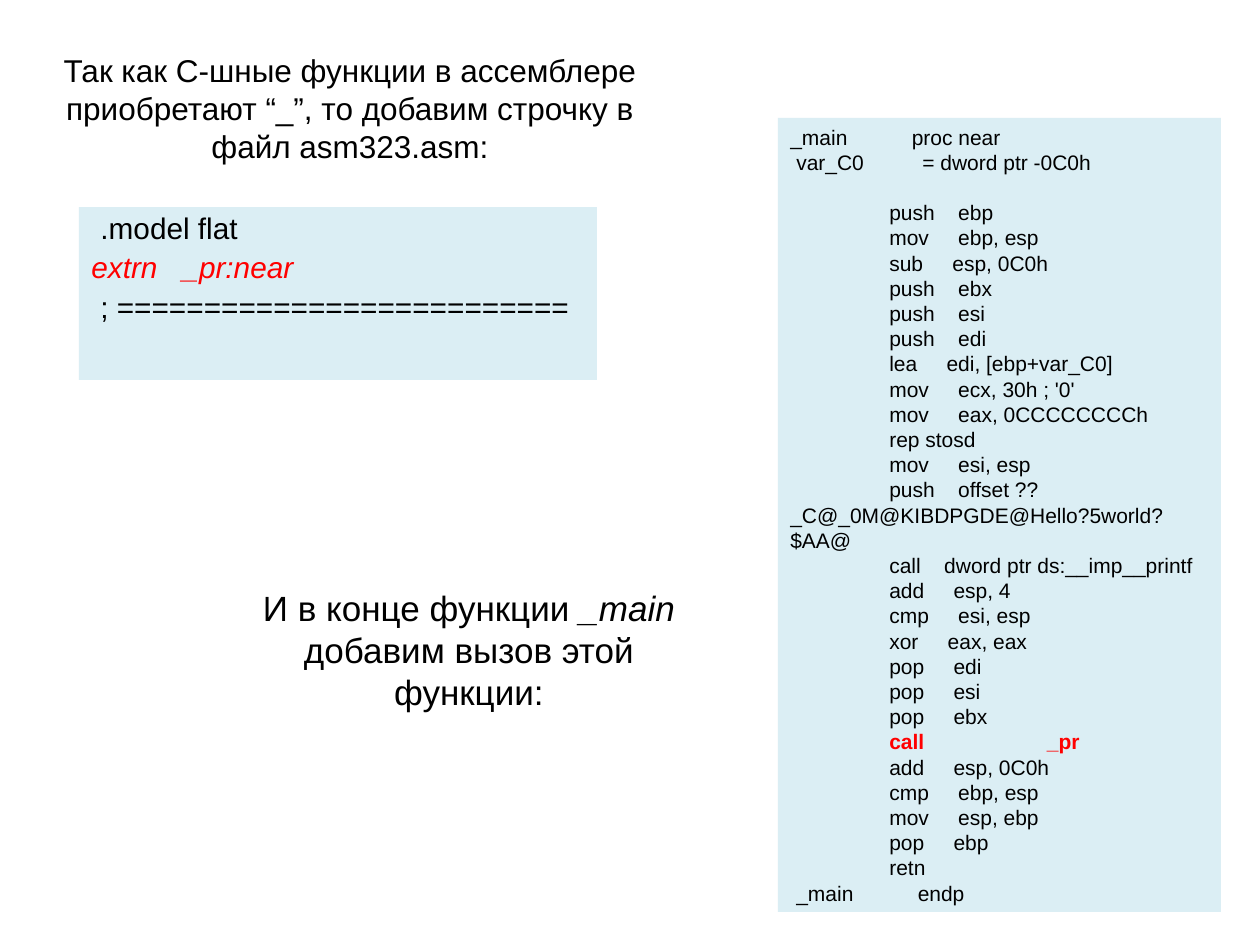
from dataclasses import dataclass, field
from typing import Any

from pptx import Presentation
from pptx import util as u
from pptx.dml import color
from pptx.enum import shapes, text

PX_PER_INCH = 126
LINE_RATIO = 1.2
SPACE_RATIO = 0.278
MNEMONIC_COLUMN = 8
FONT = "Arial"
COLORS = {"ink": "000000", "accent": "FF0000", "panel": "DBEEF4"}


@dataclass
class Span:
    wording: str
    ink: str = "ink"
    style: dict[str, Any] = field(default_factory=dict)
    gap: int = 1


@dataclass
class Line:
    spans: list[Span]
    indent: int = 0
    before: float = 0


@dataclass
class Block:
    left: int
    top: int
    width: int
    height: int
    size: int
    lines: list[Line]
    panel: bool = False
    leading: float = LINE_RATIO


def px(length: int) -> int:
    return round(length * u.Inches(1) / PX_PER_INCH)


def rgb(name: str) -> color.RGBColor:
    return color.RGBColor.from_string(COLORS[name])


def apply(target: Any, values: dict[str, Any]) -> None:
    for name, value in values.items():
        setattr(target, name, value)


def draw_line(paragraph: Any, line: Line, block: Block) -> None:
    apply(paragraph, {
        "alignment": text.PP_ALIGN.LEFT if block.panel else text.PP_ALIGN.CENTER,
        "line_spacing": u.Pt(block.size * block.leading),
        "space_before": u.Pt(line.before),
    })
    properties = paragraph._p.get_or_add_pPr()
    properties.set("marL", "0")
    properties.set("indent", str(px(line.indent)))
    for span in line.spans:
        run = paragraph.add_run()
        run.text = span.wording
        apply(run.font, {"name": FONT, "size": u.Pt(block.size), **span.style})
        run.font.color.rgb = rgb(span.ink)
        if span.gap > 1:
            tracking = round((span.gap - 1) * SPACE_RATIO * block.size * 100)
            run._r.get_or_add_rPr().set("spc", str(tracking))


def draw_block(slide: Any, block: Block) -> None:
    place = [px(v) for v in (block.left, block.top, block.width, block.height)]
    if block.panel:
        shape = slide.shapes.add_shape(shapes.MSO_SHAPE.RECTANGLE, *place)
        shape.shadow.inherit = False
        shape.fill.solid()
        shape.fill.fore_color.rgb = rgb("panel")
        shape.line.fill.background()
    else:
        shape = slide.shapes.add_textbox(*place)
    frame = shape.text_frame
    apply(frame, {
        "word_wrap": True,
        "auto_size": text.MSO_AUTO_SIZE.NONE,
        "vertical_anchor": text.MSO_ANCHOR.TOP if block.panel else text.MSO_ANCHOR.MIDDLE,
    })
    for index, line in enumerate(block.lines):
        paragraph = frame.add_paragraph() if index else frame.paragraphs[0]
        draw_line(paragraph, line, block)


def columns(first: str, second: str, gap: int, ink: str = "ink", **style: Any) -> list[Span]:
    return [Span(first, ink, style), Span(" ", ink, style, gap), Span(second, ink, style)]


def instruction(code: str, before: float = 0) -> Line:
    mnemonic, operands = code.split(" ", 1)
    gap = MNEMONIC_COLUMN - len(mnemonic)
    return Line(columns(mnemonic, operands, gap), indent=99, before=before)


PROLOGUE = [
    "mov ebp, esp", "sub esp, 0C0h", "push ebx", "push esi", "push edi",
    "lea edi, [ebp+var_C0]", "mov ecx, 30h ; '0'", "mov eax, 0CCCCCCCCh",
]
BODY = [
    "mov esi, esp", "push offset ??_C@_0M@KIBDPGDE@Hello?5world?$AA@",
    "call dword ptr ds:__imp__printf", "add esp, 4", "cmp esi, esp",
    "xor eax, eax", "pop edi", "pop esi", "pop ebx",
]
EPILOGUE = ["add esp, 0C0h", "cmp ebp, esp", "mov esp, ebp", "pop ebp"]

MAIN_LISTING = [
    Line(columns("_main", "proc near", 11)),
    Line(columns("var_C0", "= dword ptr -0C0h", 10), indent=6),
    instruction("push ebp", before=14.4),
    *map(instruction, PROLOGUE),
    Line([Span("rep stosd")], indent=99),
    *map(instruction, BODY),
    Line(columns("call", "_pr", 21, "accent", bold=True), indent=99),
    *map(instruction, EPILOGUE),
    Line([Span("retn")], indent=99),
    Line(columns("_main", "endp", 11), indent=6),
]

EXTERN_LISTING = [
    Line([Span(".model flat")], indent=9, before=4.2),
    Line(columns("extrn", "_pr:near", 3, "accent", italic=True), before=4.2),
    Line([Span("; " + "=" * 26)], indent=9, before=4.2),
]

BLOCKS = [
    Block(30, 29, 640, 158, 18, [Line([Span(
        "Так как С-шные функции в ассемблере приобретают “_”, "
        "то добавим строчку в файл asm323.asm:")])]),
    Block(79, 207, 518, 173, 17, EXTERN_LISTING, panel=True, leading=1.08),
    Block(217, 541, 504, 217, 20, [Line([
        Span("И в конце функции "),
        Span("_main ", style={"italic": True}),
        Span("добавим вызов этой функции:"),
    ])]),
    Block(778, 118, 443, 794, 12, MAIN_LISTING, panel=True),
]


def main() -> None:
    deck = Presentation()
    apply(deck, {"slide_width": px(1260), "slide_height": px(945)})
    slide = deck.slides.add_slide(deck.slide_layouts[6])
    for block in BLOCKS:
        draw_block(slide, block)
    deck.save("out.pptx")


if __name__ == "__main__":
    main()
